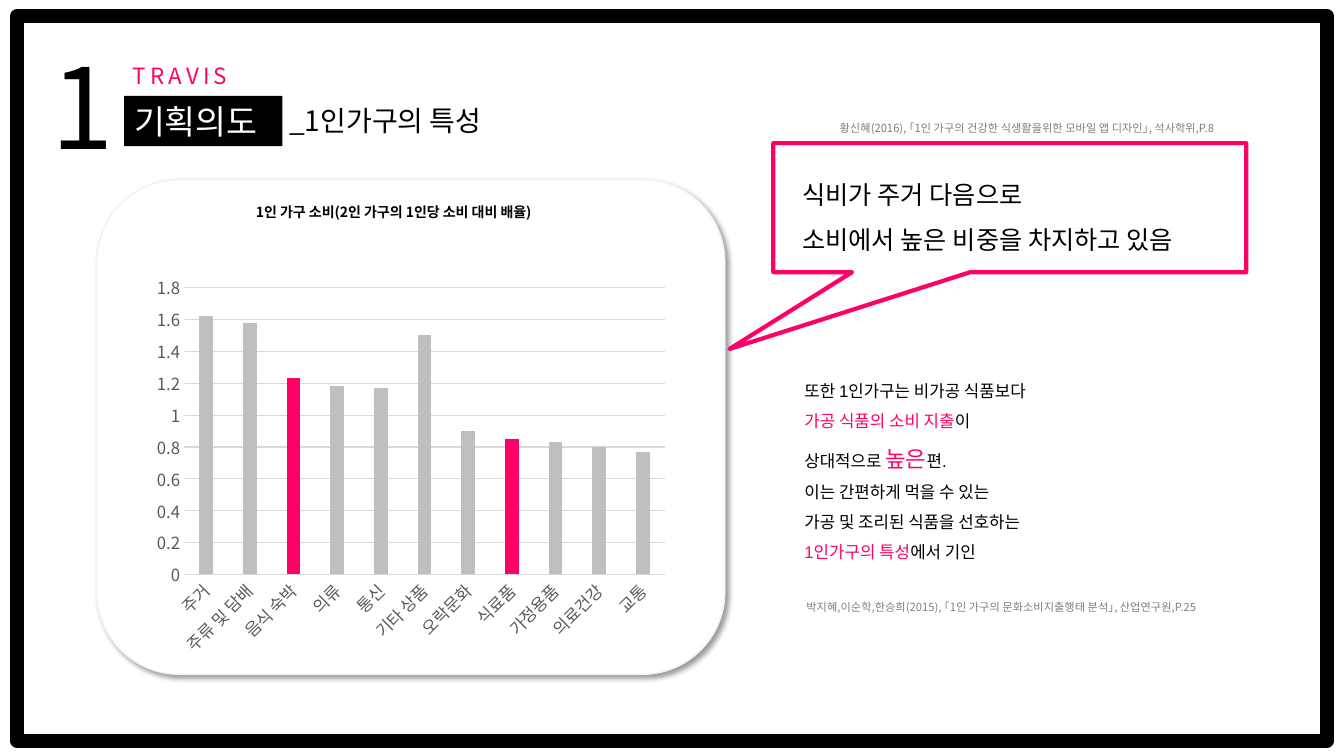
from lxml import etree
from pptx import Presentation
from pptx.chart.data import CategoryChartData
from pptx.dml.color import RGBColor
from pptx.enum import chart as ch, shapes, text
from pptx.oxml import ns
from pptx.util import Inches, Pt

BLACK = RGBColor(0, 0, 0)
WHITE = RGBColor(255, 255, 255)
PINK = RGBColor(0xFF, 0, 0x66)
GREY = RGBColor(0x80, 0x80, 0x80)
DARK = RGBColor(0x59, 0x59, 0x59)
RULE = RGBColor(0xD9, 0xD9, 0xD9)
BAR = RGBColor(0xBF, 0xBF, 0xBF)
EDGE = RGBColor(0xF2, 0xF2, 0xF2)
NOTO = "Noto Sans CJK KR"
SHAPE = shapes.MSO_SHAPE

SPEND = {
    "주거": 1.62, "주류 및 담배": 1.58, "음식 숙박": 1.23, "의류": 1.18,
    "통신": 1.17, "기타 상품": 1.5, "오락문화": 0.9, "식료품": 0.85,
    "가정용품": 0.83, "의료건강": 0.8, "교통": 0.77,
}
FOOD = ("음식 숙박", "식료품")


def style(font, **vals):
    color = vals.pop("color", BLACK)
    for key, val in vals.items():
        setattr(font, key, val)
    font.color.rgb = color


def write(shape, lines, size, color=BLACK, face=NOTO, bold=False,
          lead=None, wrap=True, track=0):
    """Fill a shape; each line is a list of (words, changed format) runs."""
    frame = shape.text_frame
    frame.word_wrap = wrap
    frame.auto_size = text.MSO_AUTO_SIZE.NONE
    frame.vertical_anchor = text.MSO_ANCHOR.TOP
    for i, line in enumerate(lines):
        para = frame.add_paragraph() if i else frame.paragraphs[0]
        para.alignment = text.PP_ALIGN.LEFT
        if lead:
            para.line_spacing = lead
        for words, diff in line:
            run = para.add_run()
            run.text = words
            base = dict(size=Pt(size), color=color, name=face, bold=bold)
            style(run.font, **{**base, **diff})
            props = run.font._element
            if track:
                props.set("spc", str(track * 100))
            east = etree.SubElement(props, ns.qn("a:ea"))
            east.set("typeface", NOTO)


def label(slide, box, *lines, **form):
    shape = slide.shapes.add_textbox(*map(Inches, box))
    runs = [[(line, {})] if isinstance(line, str) else line for line in lines]
    write(shape, runs, **form)


def panel(slide, kind, box, line, width, fill=None):
    shape = slide.shapes.add_shape(kind, *map(Inches, box))
    shape.shadow.inherit = False
    if fill is None:
        shape.fill.background()
    else:
        shape.fill.solid()
        shape.fill.fore_color.rgb = fill
    shape.line.color.rgb = line
    shape.line.width = Pt(width)
    return shape


def header(slide, x, y):
    title = slide.shapes.title
    box = (x + 0.82, y + 0.63, 1.57, 0.5)
    for key, val in zip(("left", "top", "width", "height"), box):
        setattr(title, key, Inches(val))
    title.fill.solid()
    title.fill.fore_color.rgb = BLACK
    write(title, [[("기획의도", {})]], size=24, color=WHITE)
    label(slide, (x + 0.81, y + 0.25, 1.26, 0.37), "TRAVIS",
          size=16, color=PINK, track=3)
    label(slide, (x, y, 0.81, 1.45), "1", size=80)
    label(slide, (x + 2.36, y + 0.66, 2.26, 0.44), "_1인가구의 특성",
          size=20, wrap=False)


def shade(shape):
    """Add a soft shadow at the lower right."""
    effects = shape._element.spPr.find(ns.qn("a:effectLst"))
    drop = etree.SubElement(effects, ns.qn("a:outerShdw"), blurRad=str(Pt(4)),
                            dist=str(Pt(3)), dir="2700000", algn="tl",
                            rotWithShape="0")
    tone = etree.SubElement(drop, ns.qn("a:srgbClr"), val="000000")
    etree.SubElement(tone, ns.qn("a:alpha"), val="40000")


def bars(slide, box):
    data = CategoryChartData()
    data.categories = list(SPEND)
    data.add_series("Series 1", list(SPEND.values()))
    chart = slide.shapes.add_chart(
        ch.XL_CHART_TYPE.COLUMN_CLUSTERED, *map(Inches, box), data).chart
    chart.has_title = chart.has_legend = False
    style(chart.font, name=NOTO, size=Pt(10))

    plot = chart.plots[0]
    plot.gap_width, plot.overlap = 219, -27
    plot.vary_by_categories = False
    series = plot.series[0]
    series.format.fill.solid()
    series.format.fill.fore_color.rgb = BAR
    for i, name in enumerate(SPEND):
        if name in FOOD:
            fill = series.points[i].format.fill
            fill.solid()
            fill.fore_color.rgb = PINK

    cats, vals = chart.category_axis, chart.value_axis
    for axis in (cats, vals):
        axis.major_tick_mark = axis.minor_tick_mark = ch.XL_TICK_MARK.NONE
        style(axis.tick_labels.font, name=NOTO, size=Pt(12), color=DARK)
    cats._element.txPr.find(ns.qn("a:bodyPr")).set("rot", "-2700000")
    vals.minimum_scale, vals.maximum_scale, vals.major_unit = 0, 1.8, 0.2
    vals.format.line.fill.background()
    for line in (cats.format.line, vals.major_gridlines.format.line):
        line.color.rgb = RULE
        line.width = Pt(0.75)


def card(slide, x, y, w, h):
    shade(panel(slide, SHAPE.ROUNDED_RECTANGLE, (x, y, w, h), EDGE, 1, WHITE))
    bars(slide, (x + 0.49, y + 0.87, w - 0.98, h - 0.97))
    label(slide, (x + 1.48, y + 0.19, 3.27, 0.27),
          "1인 가구 소비(2인 가구의 1인당 소비 대비 배율)",
          size=10, bold=True, wrap=False)


def callout(slide, x, y, w, h):
    label(slide, (x + 0.19, y + 0.16, 4.32, 0.95), "식비가 주거 다음으로",
          "소비에서 높은 비중을 차지하고 있음", size=18, lead=1.5)
    bubble = panel(slide, SHAPE.RECTANGULAR_CALLOUT, (x, y, w, h), PINK, 3)
    bubble.adjustments[0], bubble.adjustments[1] = -0.593, 1.096
    label(slide, (x + 0.56, y - 0.27, 4.4, 0.24),
          "황신혜(2016), ｢1인 가구의 건강한 식생활을위한 모바일 앱 디자인｣, 석사학위,P.8",
          size=8, color=GREY)


def notes(slide, x, y):
    pink = dict(color=PINK)
    label(slide, (x, y, 3.86, 1.98),
          "또한 1인가구는 비가공 식품보다",
          [("가공 식품의 소비 지출", pink), ("이", {})],
          [("상대적으로 ", {}), ("높은", dict(pink, size=Pt(16))), ("편.", {})],
          "이는 간편하게 먹을 수 있는",
          "가공 및 조리된 식품을 선호하는",
          [("1인가구의 특성", pink), ("에서 기인", {})],
          size=12, face="Arial", lead=1.5)
    label(slide, (x + 0.02, y + 2.28, 4.4, 0.24),
          "박지혜,이순학,한승희(2015), ｢1인 가구의 문화소비지출행태 분석｣, 산업연구원,P.25",
          size=8, color=GREY)


def main():
    deck = Presentation()
    deck.slide_width, deck.slide_height = Inches(13.33), Inches(7.5)
    slide = deck.slides.add_slide(deck.slide_layouts[5])
    panel(slide, SHAPE.RECTANGLE, (0.17, 0.16, 12.99, 7.19), BLACK, 10)
    header(slide, 0.41, 0.32)
    card(slide, 0.96, 1.78, 6.23, 4.91)
    callout(slide, 7.67, 1.42, 4.69, 1.28)
    notes(slide, 7.88, 3.63)
    deck.save("out.pptx")


if __name__ == "__main__":
    main()
